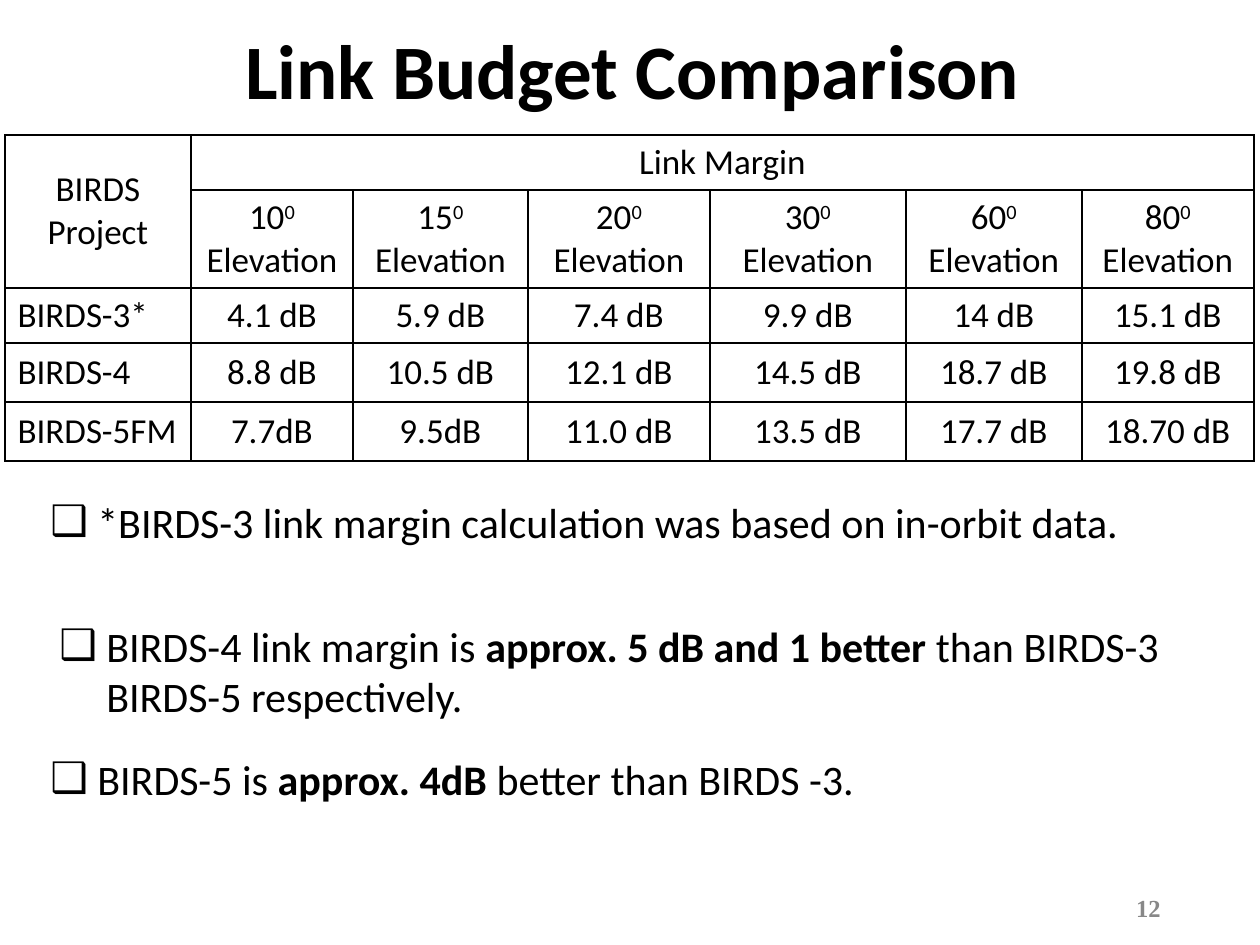
from lxml.etree import SubElement
from pptx import Presentation
from pptx.dml.color import RGBColor
from pptx.enum.text import MSO_ANCHOR, PP_ALIGN
from pptx.oxml.ns import qn
from pptx.util import Emu, Pt

SCALE = 914400 / 126
COLORS = {"text": "000000", "number": "888888", "border": "000000"}
FORMATS = {
    "title": {"name": "Calibri", "size": Pt(44), "bold": True},
    "cell": {"name": "Calibri", "size": Pt(20), "bold": False},
    "bullet": {"name": "Calibri", "size": Pt(24), "bold": False},
    "strong": {"name": "Calibri", "size": Pt(24), "bold": True},
    "number": {"name": "Times New Roman", "size": Pt(14), "bold": True},
}


def add_run(paragraph, text, style, color="text"):
    run = paragraph.add_run()
    run.text = text
    for attribute, value in FORMATS[style].items():
        setattr(run.font, attribute, value)
    run.font.color.rgb = RGBColor.from_string(COLORS[color])
    return run


def add_text_box(slide, *box):
    shape = slide.shapes.add_textbox(*(Emu(round(px * SCALE)) for px in box))
    shape.text_frame.word_wrap = True
    return shape.text_frame


presentation = Presentation()
presentation.slide_width = Emu(round(1260 * SCALE))
presentation.slide_height = Emu(round(945 * SCALE))
slide = presentation.slides.add_slide(presentation.slide_layouts[6])

number_frame = add_text_box(slide, 890, 883, 283, 50)
number_frame.vertical_anchor = MSO_ANCHOR.MIDDLE
number_frame.paragraphs[0].alignment = PP_ALIGN.RIGHT
add_run(number_frame.paragraphs[0], "12", "number", "number")

title_frame = add_text_box(slide, 233, 16, 822, 64)
add_run(title_frame.paragraphs[0], "Link Budget Comparison", "title")

column_widths = [186, 162, 175, 182, 196, 176, 172]
row_heights = [55, 98, 55, 59, 59]
rows = [
    ["BIRDS Project", "Link Margin", "", "", "", "", ""],
    ["", "10", "15", "20", "30", "60", "80"],
    ["BIRDS-3*", "4.1 dB", "5.9 dB", "7.4 dB", "9.9 dB", "14 dB", "15.1 dB"],
    ["BIRDS-4", "8.8 dB", "10.5 dB", "12.1 dB", "14.5 dB", "18.7 dB", "19.8 dB"],
    ["BIRDS-5FM", "7.7dB", "9.5dB", "11.0 dB", "13.5 dB", "17.7 dB", "18.70 dB"],
]
table_box = (5, 135, sum(column_widths), sum(row_heights))
table = slide.shapes.add_table(
    len(rows), len(column_widths), *(Emu(round(px * SCALE)) for px in table_box)
).table
table.first_row = False
table.horz_banding = False
for column, width in zip(table.columns, column_widths):
    column.width = Emu(round(width * SCALE))
for row, height in zip(table.rows, row_heights):
    row.height = Emu(round(height * SCALE))
table.cell(0, 0).merge(table.cell(1, 0))
table.cell(0, 1).merge(table.cell(0, 6))

for row_index, row in enumerate(rows):
    for column_index, text in enumerate(row):
        cell = table.cell(row_index, column_index)
        cell.vertical_anchor = MSO_ANCHOR.MIDDLE
        properties = cell._tc.get_or_add_tcPr()
        for side in ("a:lnL", "a:lnR", "a:lnT", "a:lnB"):
            line = SubElement(properties, qn(side), w=str(Pt(1)))
            fill = SubElement(line, qn("a:solidFill"))
            SubElement(fill, qn("a:srgbClr"), val=COLORS["border"])
        cell.fill.background()
        if not text:
            continue
        paragraph = cell.text_frame.paragraphs[0]
        if column_index or row_index < 2:
            paragraph.alignment = PP_ALIGN.CENTER
        add_run(paragraph, text, "cell")
        if row_index == 1:
            degree = add_run(paragraph, "0", "cell")
            degree.font._element.set("baseline", "30000")
            add_run(paragraph, " Elevation", "cell")

bullets = [
    ((38, 490, 1174, 63), [
        ("*BIRDS-3 link margin calculation was based on in-orbit data.", "bullet"),
    ]),
    ((47, 614, 1210, 115), [
        ("BIRDS-4 link margin is ", "bullet"),
        ("approx. 5 dB and 1 better", "strong"),
        (" than BIRDS-3 BIRDS-5 respectively.", "bullet"),
    ]),
    ((38, 747, 1228, 165), [
        ("BIRDS-5 is ", "bullet"),
        ("approx. 4dB ", "strong"),
        ("better than BIRDS -3.", "bullet"),
    ]),
]
indent = round(47 * SCALE)
for box, runs in bullets:
    paragraph = add_text_box(slide, *box).paragraphs[0]
    properties = paragraph._p.get_or_add_pPr()
    properties.set("marL", str(indent))
    properties.set("indent", str(-indent))
    bullet_color = SubElement(properties, qn("a:buClr"))
    SubElement(bullet_color, qn("a:srgbClr"), val=COLORS["text"])
    SubElement(properties, qn("a:buFont"), typeface="Calibri")
    SubElement(properties, qn("a:buChar"), char="❑")
    for text, style in runs:
        add_run(paragraph, text, style)

presentation.save("out.pptx")
